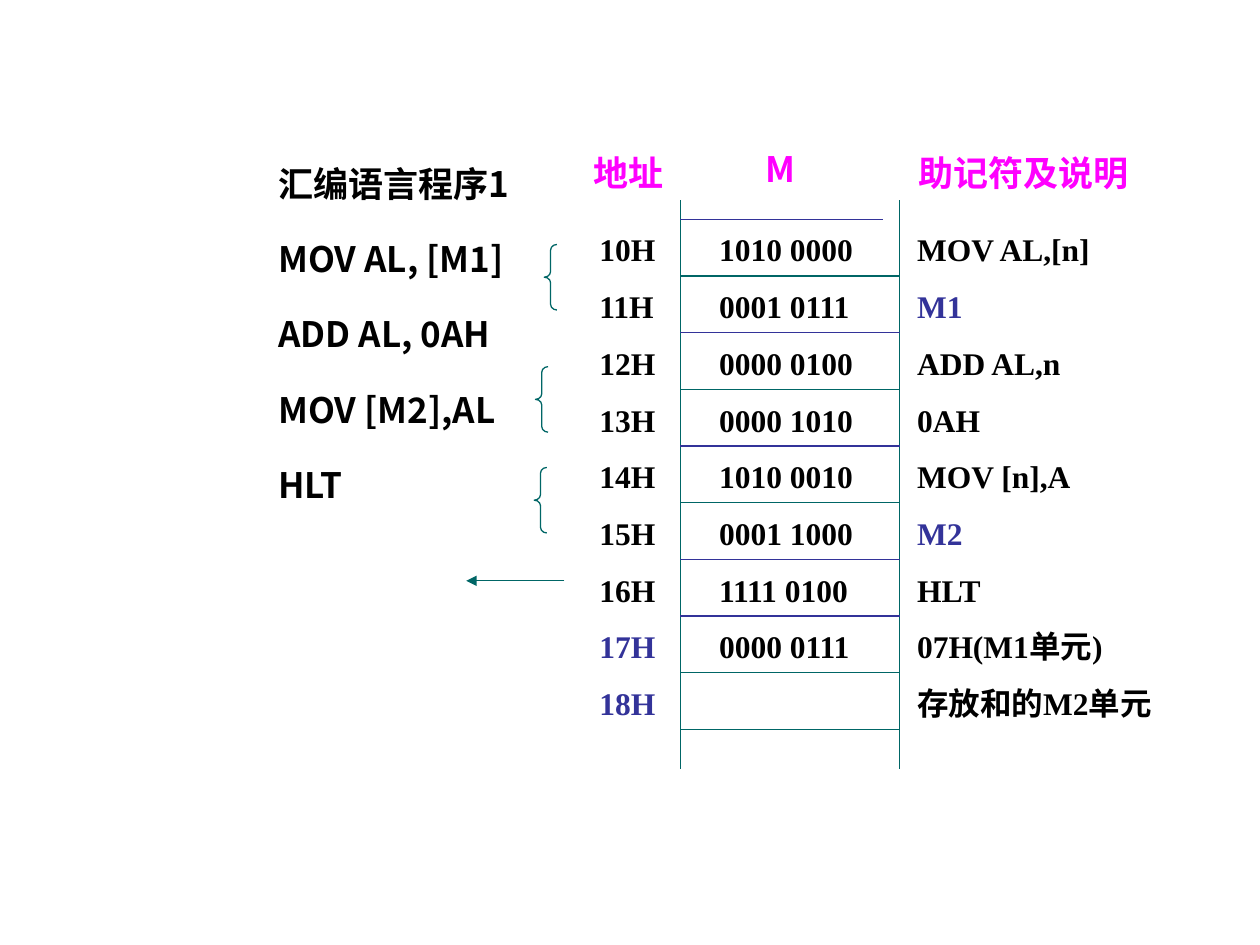
from lxml.etree import SubElement
from pptx import Presentation
from pptx.dml.color import RGBColor
from pptx.enum.shapes import MSO_CONNECTOR as Connector, MSO_SHAPE as Shape
from pptx.oxml.ns import qn
from pptx.util import Inches, Pt

BLACK = RGBColor(0x00, 0x00, 0x00)
BLUE = RGBColor(0x33, 0x33, 0x99)
TEAL = RGBColor(0x00, 0x66, 0x66)
PINK = RGBColor(0xFF, 0x00, 0xFF)
SERIF = "Times New Roman"
SANS = "Noto Sans CJK SC"

ROW_HEIGHT = 0.45
RULE_TOP = 1.74
TEXT_TOP = 1.78
MEMORY_LEFT, MEMORY_RIGHT = 5.4, 7.14
ADDRESS_COLUMN = (4.66, 0.73)
BITS_COLUMN = (5.61, 1.37)
MEANING_COLUMN = (7.18, 2.22)

HEADINGS = [
    ("地址", 4.61, 1.15, 0.91),
    ("M", 5.98, 1.12, 0.68),
    ("助记符及说明", 7.19, 1.15, 1.94),
]
MEMORY = [
    ("1010 0000", "MOV AL,[n]"),
    ("0001 0111", "M1"),
    ("0000 0100", "ADD AL,n"),
    ("0000 1010", "0AH"),
    ("1010 0010", "MOV [n],A"),
    ("0001 1000", "M2"),
    ("1111 0100", "HLT"),
    ("0000 0111", "07H(M1单元)"),
    ("", "存放和的M2单元"),
]
FIRST_DATA_ROW = 7
RULE_COLORS = [BLUE, TEAL, BLUE, TEAL, BLUE, TEAL, BLUE, BLUE, TEAL, TEAL]
PROGRAM = ["汇编语言程序1", "MOV AL, [M1]", "ADD AL, 0AH", "MOV [M2],AL", "HLT"]
BRACES = [(4.32, 1.94), (4.25, 2.91), (4.24, 3.71)]


def add_text(page, lines, left, top, width, height, size, color, font, gap=0):
    box = page.shapes.add_textbox(Inches(left), Inches(top), Inches(width), Inches(height))
    frame = box.text_frame
    frame.word_wrap = True
    frame.text = "\n".join(lines)
    for index, para in enumerate(frame.paragraphs):
        para.space_before = Pt(gap if index else 0)
        for span in para.runs:
            span.font.size = Pt(size)
            span.font.bold = True
            span.font.name = font
            span.font.color.rgb = color
            SubElement(span.font._element, qn("a:ea")).set("typeface", SANS)


def add_line(page, start, end, color, arrow=False):
    line = page.shapes.add_connector(Connector.STRAIGHT, *map(Inches, start + end))
    line.line.color.rgb = color
    line.line.width = Pt(0.75)
    if arrow:
        SubElement(line.line._get_or_add_ln(), qn("a:tailEnd")).set("type", "triangle")
    SubElement(line._element.spPr, qn("a:effectLst"))


def add_brace(page, left, top):
    brace = page.shapes.add_shape(
        Shape.LEFT_BRACE, Inches(left), Inches(top), Inches(0.1), Inches(0.52))
    brace.shadow.inherit = False
    brace.adjustments[0] = 0.45
    brace.fill.background()
    brace.line.color.rgb = TEAL
    brace.line.width = Pt(0.75)


def add_memory_grid(page):
    for side in (MEMORY_LEFT, MEMORY_RIGHT):
        add_line(page, (side, 1.59), (side, 6.1), TEAL)
    for index, color in enumerate(RULE_COLORS):
        y = RULE_TOP + index * ROW_HEIGHT
        right = MEMORY_RIGHT if index else 7.01
        add_line(page, (MEMORY_LEFT, y), (right, y), color)


def add_memory_row(page, index, bits, meaning):
    address_color = BLUE if index >= FIRST_DATA_ROW else BLACK
    meaning_color = BLUE if meaning in ("M1", "M2") else BLACK
    cells = [
        (f"{10 + index}H", ADDRESS_COLUMN, address_color),
        (bits, BITS_COLUMN, BLACK),
        (meaning, MEANING_COLUMN, meaning_color),
    ]
    top = TEXT_TOP + index * ROW_HEIGHT
    for text, (left, width), color in cells:
        if text:
            add_text(page, [text], left, top, width, 0.4, 18, color, SERIF)


def main():
    deck = Presentation()
    deck.slide_width, deck.slide_height = Inches(10), Inches(7.5)
    page = deck.slides.add_slide(deck.slide_layouts[6])
    add_memory_grid(page)
    for index, (bits, meaning) in enumerate(MEMORY):
        add_memory_row(page, index, bits, meaning)
    for text, left, top, width in HEADINGS:
        add_text(page, [text], left, top, width, 0.44, 20, PINK, SANS)
    add_text(page, PROGRAM, 2.11, 1.24, 2.56, 3.4, 20, BLACK, SANS, gap=19)
    for left, top in BRACES:
        add_brace(page, left, top)
    add_line(page, (4.48, 4.61), (3.7, 4.61), TEAL, arrow=True)
    deck.save("out.pptx")


if __name__ == "__main__":
    main()
